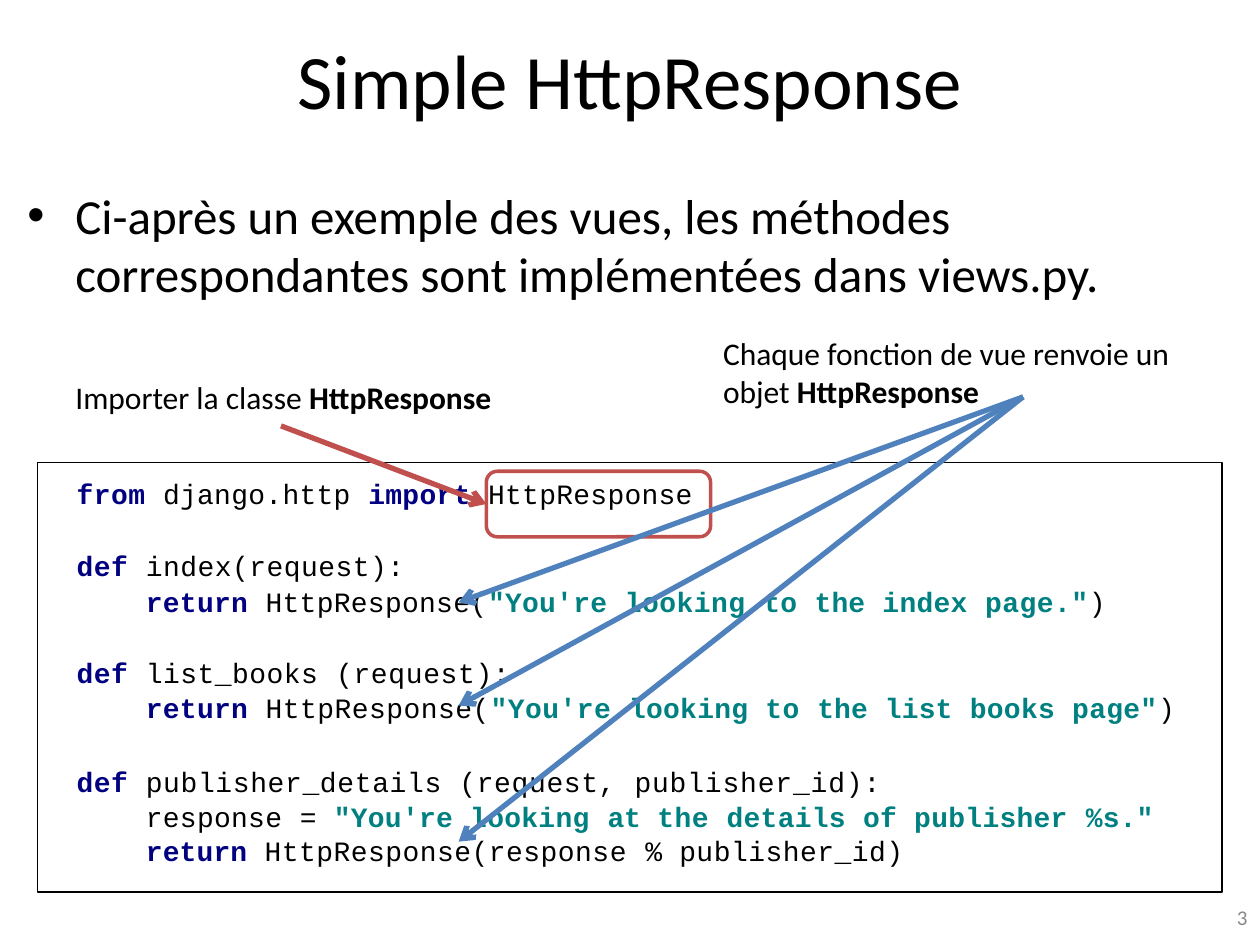
from lxml.etree import SubElement
from pptx import Presentation
from pptx.dml.color import RGBColor
from pptx.enum.shapes import MSO_CONNECTOR, MSO_SHAPE
from pptx.enum.text import MSO_ANCHOR, PP_ALIGN
from pptx.oxml.ns import qn
from pptx.util import Inches, Pt

BLACK = RGBColor(0x00, 0x00, 0x00)
GREY = RGBColor(0x89, 0x89, 0x89)
NAVY = RGBColor(0x00, 0x00, 0x80)
TEAL = RGBColor(0x00, 0x80, 0x80)
RED = RGBColor(0xC0, 0x50, 0x4D)
BLUE = RGBColor(0x4F, 0x81, 0xBD)

PLAIN = {"name": "Calibri", "size": Pt(18), "bold": False, "color": BLACK}
STRONG = PLAIN | {"bold": True}
HEADING = PLAIN | {"size": Pt(44)}
BODY = PLAIN | {"size": Pt(28)}
NUMBER = PLAIN | {"size": Pt(12), "color": GREY}
CODE = PLAIN | {"name": "Courier New", "size": Pt(16)}
KEYWORD = CODE | {"bold": True, "color": NAVY}
STRING = CODE | {"bold": True, "color": TEAL}

CODE_LINES = [
    (0.51, 0, [("from ", KEYWORD, 0.3), ("django.http ", CODE, 0.2),
               ("import ", KEYWORD, 0.2), ("HttpResponse", CODE, 0.2)]),
    (0.51, 21.6, [("def ", KEYWORD, 0.3), ("index(request):", CODE, 0.3)]),
    (1.06, 1.1, [("return ", KEYWORD, 0.2), ("HttpResponse(", CODE, 0.2),
                 ("\"You're ", STRING, 0.2), ("looking ", STRING, 0.3),
                 ("to ", STRING, 0.2), ("the ", STRING, 0.1),
                 ("index ", STRING, 0.2), ("page.\"", STRING, 0.3), (")", CODE, 0.3)]),
    (0.51, 21.1, [("def ", KEYWORD, 0.3), ("list_books ", CODE, 0.3),
                  ("(request):", CODE, 0.4)]),
    (1.06, 0.5, [("return ", KEYWORD, 0.2), ("HttpResponse(", CODE, 0.3),
                 ("\"You're ", STRING, 0.3), ("looking to ", STRING, 0.2),
                 ("the list ", STRING, 0.1), ("books page\"", STRING, 0.2),
                 (")", CODE, 0.2)]),
    (0.51, 22.8, [("def ", KEYWORD, 0.3), ("publisher_details (request, ", CODE, 0.4),
                  ("publisher_id):", CODE, 0.5)]),
    (1.06, 0.5, [("response ", CODE, 0.2), ("= ", CODE, 0.1),
                 ("\"You're looking ", STRING, 0.2), ("at ", STRING, -0.1),
                 ("the ", STRING, 0.3), ("details of publisher ", STRING, 0.2),
                 ("%s.\"", STRING, 0.1)]),
    (1.06, 0, [("return ", KEYWORD, 0.1), ("HttpResponse(response ", CODE, 0.3),
               ("% ", CODE, 0.1), ("publisher_id)", CODE, 0.3)]),
]


class SlideBuilder:
    """Draws styled elements on one slide, placed on a grid of 100 columns and 75 rows."""

    def __init__(self, deck):
        self.slide = deck.slides.add_slide(deck.slide_layouts[5])
        self.column = deck.slide_width / 100
        self.row = deck.slide_height / 75

    def at(self, *lengths):
        units = (self.column, self.row) * 2
        return [int(length * unit) for length, unit in zip(lengths, units)]

    def add_runs(self, paragraph, runs, **layout):
        for name, value in layout.items():
            setattr(paragraph, name, value)
        for text, style, spacing in runs:
            run = paragraph.add_run()
            run.text = text
            for name, value in style.items():
                if name == "color":
                    run.font.color.rgb = value
                else:
                    setattr(run.font, name, value)
            if spacing:
                run._r.get_or_add_rPr().set("spc", str(round(spacing * 100)))

    def title(self, text, *place):
        heading = self.slide.shapes.title
        heading.left, heading.top, heading.width, heading.height = self.at(*place)
        heading.text_frame.vertical_anchor = MSO_ANCHOR.MIDDLE
        self.add_runs(heading.text_frame.paragraphs[0], [(text, HEADING, 0)],
                      alignment=PP_ALIGN.CENTER)

    def text(self, runs, *place, wrap=True, anchor=MSO_ANCHOR.TOP, **layout):
        frame = self.slide.shapes.add_textbox(*self.at(*place)).text_frame
        frame.word_wrap = wrap
        frame.vertical_anchor = anchor
        self.add_runs(frame.paragraphs[0], runs, **layout)
        return frame

    def bullet(self, text, *place):
        frame = self.text([(text, BODY, 0)], *place, space_before=Pt(3.6))
        properties = frame.paragraphs[0]._p.get_or_add_pPr()
        properties.set("marL", str(Inches(0.5)))
        properties.set("indent", str(Inches(-0.38)))
        SubElement(properties, qn("a:buFont")).set("typeface", "Arial")
        SubElement(properties, qn("a:buChar")).set("char", "•")

    def code(self, lines, *place):
        frame = self.slide.shapes.add_textbox(*self.at(*place)).text_frame
        frame.word_wrap = True
        frame.margin_top = 0
        for index, (indent, gap, runs) in enumerate(lines):
            paragraph = frame.add_paragraph() if index else frame.paragraphs[0]
            self.add_runs(paragraph, runs, line_spacing=Pt(19.5), space_before=Pt(gap))
            paragraph._p.get_or_add_pPr().set("marL", str(Inches(indent)))

    def outline(self, preset, color, width, *place):
        box = self.slide.shapes.add_shape(preset, *self.at(*place))
        box.shadow.inherit = False
        box.fill.background()
        box.line.color.rgb = color
        box.line.width = Pt(width)

    def arrow(self, color, *ends):
        arrow = self.slide.shapes.add_connector(MSO_CONNECTOR.STRAIGHT, *self.at(*ends))
        arrow.line.color.rgb = color
        arrow.line.width = Pt(3)
        properties = arrow._element.spPr
        SubElement(properties.find(qn("a:ln")), qn("a:tailEnd")).set("type", "arrow")
        SubElement(properties, qn("a:effectLst"))


def main():
    deck = Presentation()
    deck.slide_width, deck.slide_height = Inches(10), Inches(7.5)
    page = SlideBuilder(deck)
    page.title("Simple HttpResponse", 5, 0, 90, 12.5)
    page.bullet("Ci-après un exemple des vues, les méthodes "
                "correspondantes sont implémentées dans views.py.", 0, 14.2, 100, 11)
    page.code(CODE_LINES, 0, 37.8, 100, 32)
    page.text([("3", NUMBER, 0)], 76.7, 70.8, 23.3, 4,
              anchor=MSO_ANCHOR.MIDDLE, alignment=PP_ALIGN.RIGHT)
    page.outline(MSO_SHAPE.RECTANGLE, BLACK, 0.75, 3, 36.7, 94, 34.1)
    page.outline(MSO_SHAPE.ROUNDED_RECTANGLE, RED, 2, 38.6, 37.4, 17.8, 5.2)
    page.text([("Importer la classe ", PLAIN, 0), ("HttpResponse", STRONG, 0)],
              5, 29.5, 35.2, 4, wrap=False)
    page.arrow(RED, 22.3, 33.8, 38.6, 40)
    for return_row in (47.8, 56, 66.8):
        page.arrow(BLUE, 81.2, 31.5, 36.4, return_row)
    page.text([("Chaque fonction de vue renvoie un objet ", PLAIN, 0),
               ("HttpResponse", STRONG, 0)], 56.4, 26, 38.6, 7.1)
    deck.save("out.pptx")


if __name__ == "__main__":
    main()
